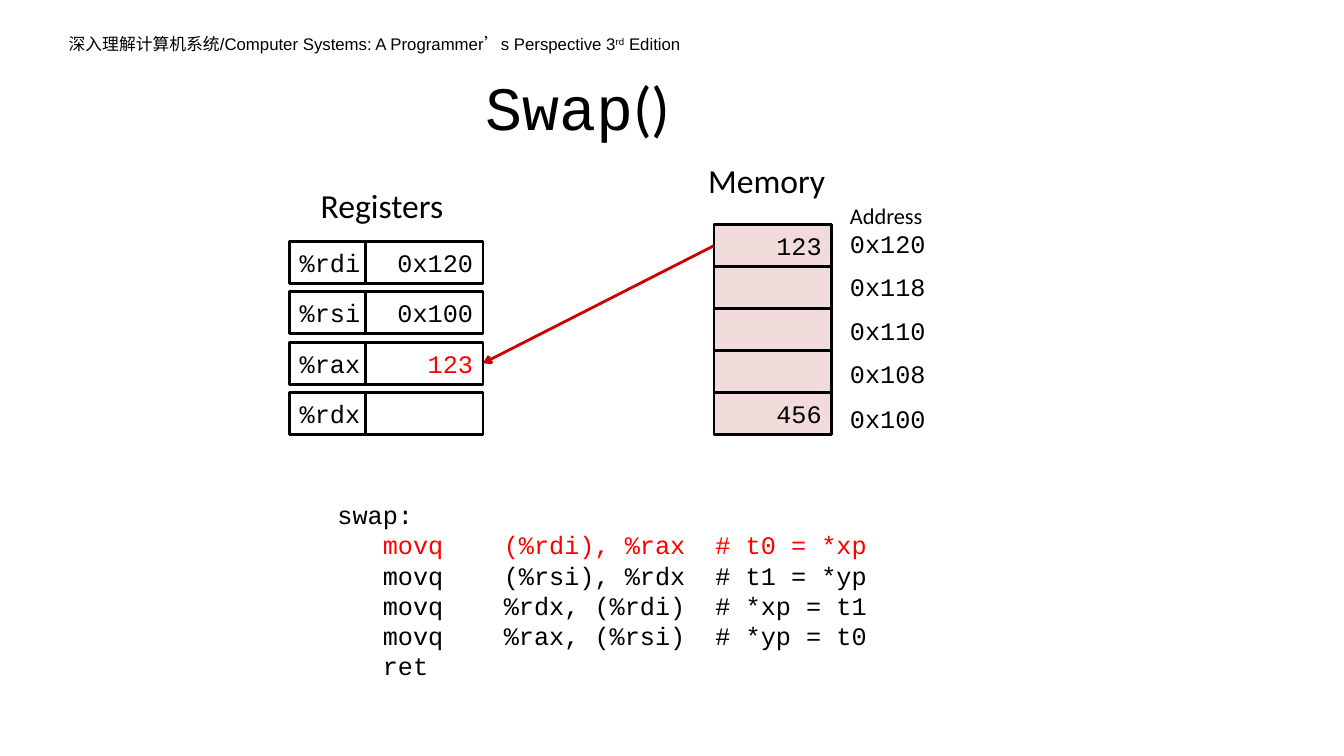
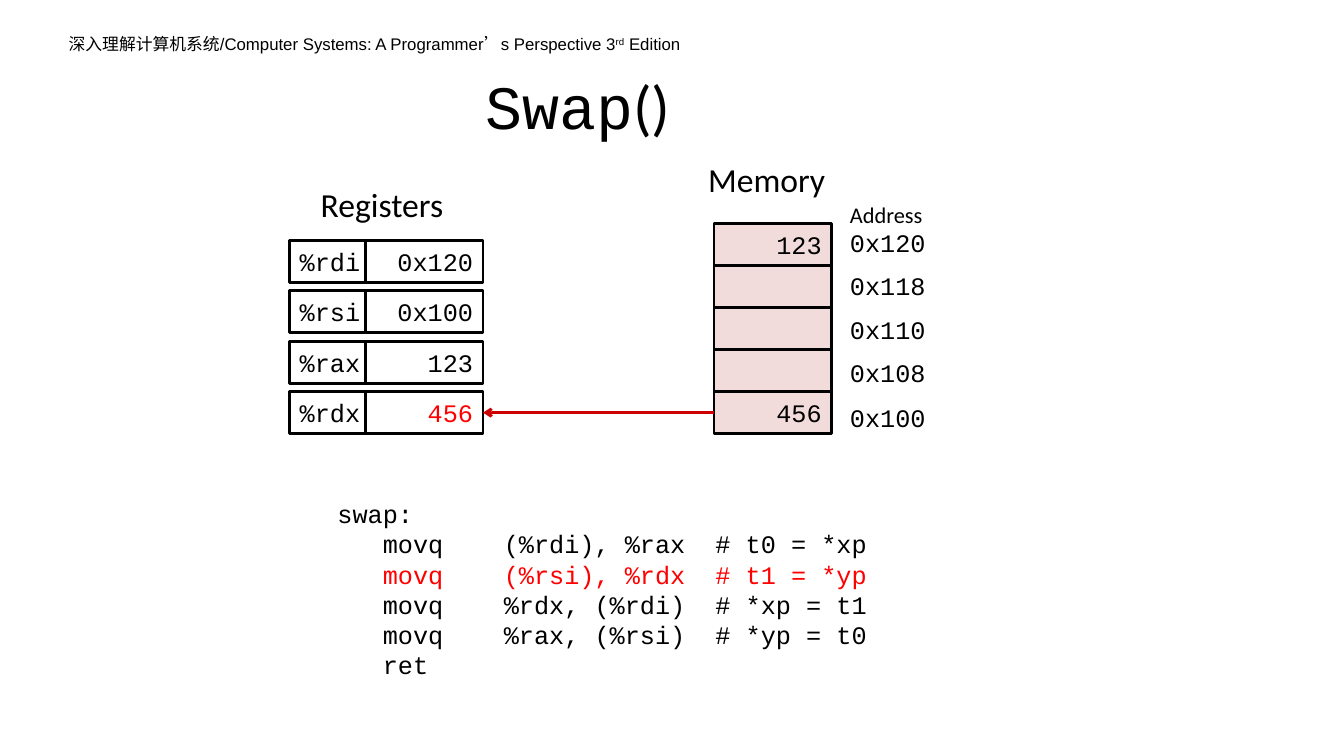
from lxml.etree import SubElement
from pptx import Presentation
from pptx.dml.color import RGBColor
from pptx.enum.lang import MSO_LANGUAGE_ID
from pptx.enum.shapes import MSO_CONNECTOR, MSO_SHAPE
from pptx.enum.text import MSO_ANCHOR, PP_ALIGN
from pptx.oxml.ns import qn
from pptx.util import Pt

PX = 9525  # EMU in one px, 96 px to the inch
COLORS = {"ink": "000000", "paper": "FFFFFF", "memory": "F2DCDB",
          "arrow": "CC0000", "changed": "FF0000"}
FONTS = {
    "header": {"name": "Arial", "size": Pt(12),
               "language_id": MSO_LANGUAGE_ID.SIMPLIFIED_CHINESE},
    "title": {"name": "Courier New", "size": Pt(44)},
    "parens": {"name": "Calibri", "size": Pt(44)},
    "heading": {"name": "Calibri", "size": Pt(24)},
    "small": {"name": "Calibri", "size": Pt(16)},
    "code": {"name": "Courier New", "size": Pt(18)},
}

# Layout in px
CELL_H = 40
NAME_X, NAME_W = 276, 72
VALUE_X, VALUE_W = NAME_X + NAME_W, 112
MEM_X, MEM_Y = 680, 214
REG_Y, REG_STEP = 230, 48
ADDR_X, ADDR_Y, ADDR_SPAN = 800, 213, 166

REGISTERS = ["%rdi", "%rsi", "%rax", "%rdx"]
MEMORY = ["123", "", "", "", "456"]
ADDRESSES = ["0x120", "0x118", "0x110", "0x108", "0x100"]
CODE = ["swap:",
        "   movq    (%rdi), %rax  # t0 = *xp",
        "   movq    (%rsi), %rdx  # t1 = *yp",
        "   movq    %rdx, (%rdi)  # *xp = t1",
        "   movq    %rax, (%rsi)  # *yp = t0",
        "   ret"]


def rgb(color):
    return RGBColor.from_string(COLORS[color])


class Deck:
    def __init__(self):
        self.prs = Presentation()
        self.prs.slide_width, self.prs.slide_height = 1280 * PX, 720 * PX
        self.s = None
        self.dy = 0

    def slide(self, dy):
        """Start a slide whose content sits dy px lower."""
        self.s = self.prs.slides.add_slide(self.prs.slide_layouts[6])
        self.dy = 0
        self.header()
        self.dy = dy
        self.title()

    def box(self, x, y, w, h):
        return [v * PX for v in (x, y + self.dy, w, h)]

    def run(self, p, text, style, color="ink"):
        r = p.add_run()
        r.text = text
        for name, value in FONTS[style].items():
            setattr(r.font, name, value)
        r.font.color.rgb = rgb(color)
        return r

    def textbox(self, x, y, w, h, wrap=True):
        tf = self.s.shapes.add_textbox(*self.box(x, y, w, h)).text_frame
        tf.word_wrap = wrap
        return tf

    def label(self, x, y, w, h, text, style, wrap=True):
        tf = self.textbox(x, y, w, h, wrap)
        self.run(tf.paragraphs[0], text, style)

    def header(self):
        p = self.textbox(56, 27, 603, 29).paragraphs[0]
        self.run(p, "深入理解计算机系统/Computer Systems: "
                    "A Programmer’s Perspective 3", "header")
        r = self.run(p, "rd", "header")
        r.font._element.set("baseline", "30000")
        self.run(p, " Edition", "header")

    def title(self):
        tf = self.textbox(216, 71, 669, 60)
        tf.vertical_anchor = MSO_ANCHOR.MIDDLE
        p = tf.paragraphs[0]
        p.alignment = PP_ALIGN.CENTER
        self.run(p, "Swap", "title")
        self.run(p, "()", "parens")

    def cell(self, x, y, w, text, fill="paper", color="ink",
             align=PP_ALIGN.RIGHT):
        sp = self.s.shapes.add_shape(MSO_SHAPE.RECTANGLE,
                                     *self.box(x, y, w, CELL_H))
        sp.shadow.inherit = False
        sp.fill.solid()
        sp.fill.fore_color.rgb = rgb(fill)
        sp.line.color.rgb = rgb("ink")
        sp.line.width = Pt(2)
        if text:
            tf = sp.text_frame
            tf.word_wrap = False
            tf.vertical_anchor = MSO_ANCHOR.MIDDLE
            tf.paragraphs[0].alignment = align
            self.run(tf.paragraphs[0], text, "code", color)

    def registers(self, values, changed):
        self.label(296, 171, 142, 48, "Registers", "heading", wrap=False)
        for i, (name, value) in enumerate(zip(REGISTERS, values)):
            y = REG_Y + i * REG_STEP
            self.cell(NAME_X, y, NAME_W, name, align=PP_ALIGN.LEFT)
            self.cell(VALUE_X, y, VALUE_W, value,
                      color="changed" if i == changed else "ink")

    def memory(self):
        self.label(665, 148, 134, 48, "Memory", "heading", wrap=False)
        self.label(ADDR_X, 188, 128, 35, "Address", "small")
        for i, (value, address) in enumerate(zip(MEMORY, ADDRESSES)):
            self.cell(MEM_X, MEM_Y + i * CELL_H, VALUE_W, value, "memory")
            y = ADDR_Y + i * ADDR_SPAN // (len(ADDRESSES) - 1)
            self.label(ADDR_X, y, 128, 39, address, "code")

    def load_arrow(self, word, register):
        """Arrow from a memory word to the register it is loaded into."""
        y1 = MEM_Y + word * CELL_H + CELL_H // 2
        y2 = REG_Y + register * REG_STEP + CELL_H // 2
        ends = self.box(MEM_X, y1, 0, 0)[:2]
        ends += self.box(VALUE_X + VALUE_W, y2, 0, 0)[:2]
        line = self.s.shapes.add_connector(MSO_CONNECTOR.STRAIGHT, *ends)
        line.line.color.rgb = rgb("arrow")
        line.line.width = Pt(2)
        SubElement(line.line._get_or_add_ln(), qn("a:tailEnd"), type="arrow")
        SubElement(line._element.spPr, qn("a:effectLst"))

    def code(self, current):
        tf = self.textbox(312, 471, 616, 184)
        for i, text in enumerate(CODE):
            p = tf.add_paragraph() if i else tf.paragraphs[0]
            self.run(p, text, "code", "changed" if i == current else "ink")


def main():
    # Shift, register values, loaded register, memory word, code line
    steps = [
        (0, ["0x120", "0x100", "123", ""], 2, 0, 1),
        (-1, ["0x120", "0x100", "123", "456"], 3, 4, 2),
    ]
    deck = Deck()
    for dy, values, register, word, line in steps:
        deck.slide(dy)
        deck.memory()
        deck.registers(values, register)
        deck.load_arrow(word, register)
        deck.code(line)
    deck.prs.save("out.pptx")


if __name__ == "__main__":
    main()
